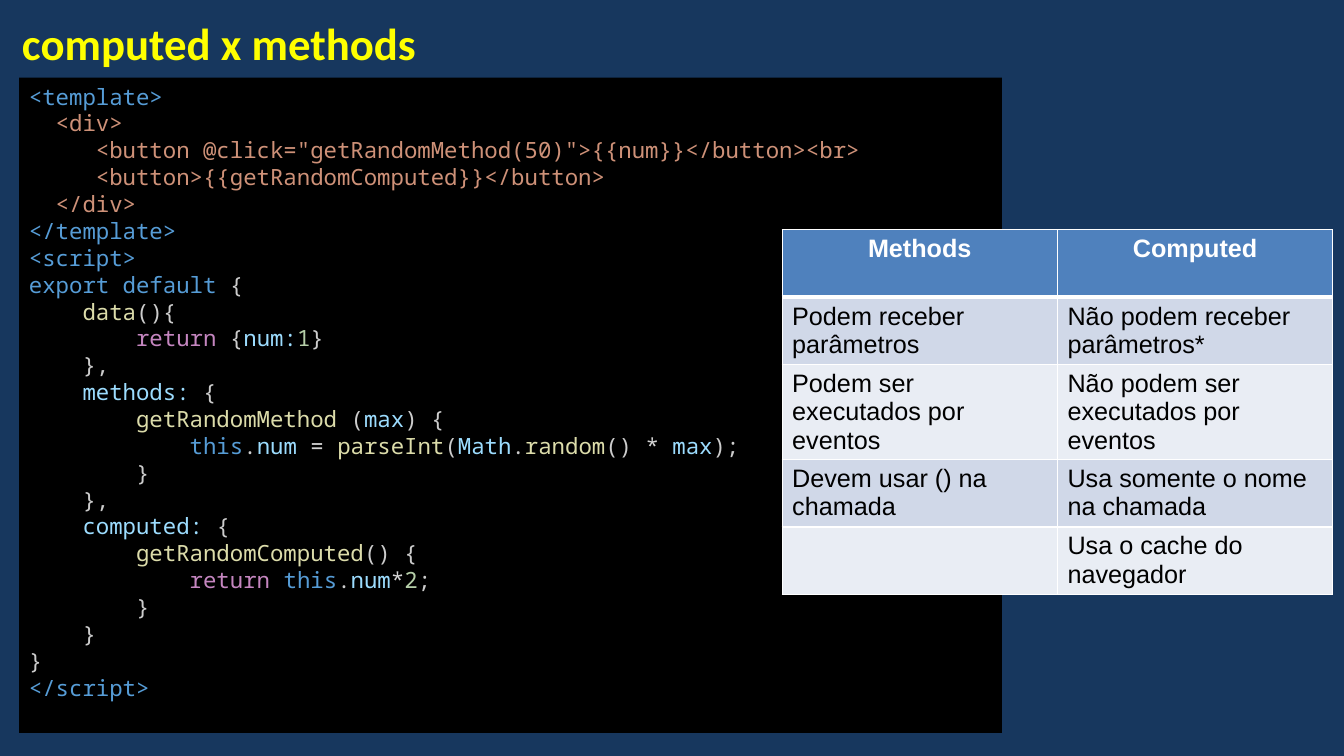
from pptx import Presentation
from pptx.dml.color import RGBColor
from pptx.enum.shapes import MSO_SHAPE
from pptx.enum.text import MSO_ANCHOR, PP_ALIGN
from pptx.oxml import parse_xml
from pptx.oxml.ns import nsdecls
from pptx.util import Cm, Pt

# Content
TITLE = "computed x methods"

# Each code line is a list of (colour role, text)
CODE = [
    [("key", "<template>")],
    [("tag", "  <div>")],
    [("tag", '     <button @click="getRandomMethod(50)">{{num}}</button><br>')],
    [("tag", "     <button>{{getRandomComputed}}</button>")],
    [("tag", "  </div>")],
    [("key", "</template>")],
    [("key", "<script>")],
    [("key", "export default"), ("text", " {")],
    [("func", "    data"), ("text", "(){")],
    [("flow", "        return"), ("text", " {"), ("name", "num:"),
     ("digit", "1"), ("text", "}")],
    [("text", "    },")],
    [("name", "    methods:"), ("text", " {")],
    [("func", "        getRandomMethod"), ("text", " ("), ("name", "max"),
     ("text", ") {")],
    [("key", "            this"), ("text", "."), ("name", "num "),
     ("sign", "= "), ("func", "parseInt"), ("text", "("), ("name", "Math"),
     ("text", "."), ("func", "random"), ("text", "() "), ("sign", "* "),
     ("name", "max"), ("text", ");")],
    [("text", "        }")],
    [("text", "    },")],
    [("name", "    computed:"), ("text", " {")],
    [("func", "        getRandomComputed"), ("text", "() {")],
    [("flow", "            return "), ("key", "this"), ("text", "."),
     ("name", "num"), ("sign", "*"), ("digit", "2"), ("text", ";")],
    [("text", "        }")],
    [("text", "    }")],
    [("text", "}")],
    [("key", "</script>")],
]

ROWS = [
    ("Methods", "Computed"),
    ("Podem receber parâmetros", "Não podem receber parâmetros*"),
    ("Podem ser executados por eventos", "Não podem ser executados por eventos"),
    ("Devem usar () na chamada", "Usa somente o nome na chamada"),
    ("", "Usa o cache do navegador"),
]

# Theme
THEME = {
    "back": "17375E", "panel": "000000", "title": "FFFF00",
    "key": "569CD6", "tag": "CE9178", "text": "CCCCCC", "func": "DCDCAA",
    "flow": "C586C0", "name": "9CDCFE", "digit": "B5CEA8", "sign": "D4D4D4",
    "head": "4F81BD", "bands": ("E9EDF4", "D0D8E8"),
    "light": "FFFFFF", "dark": "000000",
    "fonts": {
        "title": {"name": "Calibri", "size": Pt(32), "bold": True},
        "code": {"name": "Noto Sans Mono", "size": Pt(16), "bold": False},
        "head": {"name": "Arial", "size": Pt(18), "bold": True},
        "cell": {"name": "Arial", "size": Pt(18), "bold": False},
    },
    "pitch": Pt(19.2),
}

# Places: left, top, width, height in centimetres
SPOTS = {
    "title": (0.3, 0.2, 33.27, 1.75),
    "code": (0.48, 1.96, 24.77, 16.51),
    "table": (19.71, 5.79, 13.88, 8.5),
}


def spot(key):
    return [Cm(n) for n in SPOTS[key]]


def paint(fill, tone):
    fill.solid()
    fill.fore_color.rgb = RGBColor.from_string(tone)


def write(para, text, style, tone):
    font = para.add_run()
    font.text = text
    font = font.font
    for key, value in THEME["fonts"][style].items():
        setattr(font, key, value)
    font.color.rgb = RGBColor.from_string(tone)


def edge(cell, side, width):
    cell._tc.get_or_add_tcPr().append(parse_xml(
        f'<a:ln{side} {nsdecls("a")} w="{Pt(width)}"><a:solidFill>'
        f'<a:srgbClr val="{THEME["light"]}"/></a:solidFill></a:ln{side}>'))


def add_code(slide):
    box = slide.shapes.add_shape(MSO_SHAPE.RECTANGLE, *spot("code"))
    box.shadow.inherit = False
    paint(box.fill, THEME["panel"])
    box.line.fill.background()
    frame = box.text_frame
    frame.word_wrap = True
    frame.vertical_anchor = MSO_ANCHOR.TOP
    for i, line in enumerate(CODE):
        para = frame.add_paragraph() if i else frame.paragraphs[0]
        para.alignment = PP_ALIGN.LEFT
        para.line_spacing = THEME["pitch"]
        for role, text in line:
            write(para, text, "code", THEME[role])


def add_title(slide):
    title = slide.shapes.title
    title.left, title.top, title.width, title.height = spot("title")
    frame = title.text_frame
    frame.word_wrap = True
    frame.vertical_anchor = MSO_ANCHOR.MIDDLE
    para = frame.paragraphs[0]
    para.alignment = PP_ALIGN.LEFT
    write(para, TITLE, "title", THEME["title"])


def add_grid(slide):
    count = len(ROWS[0])
    grid = slide.shapes.add_table(len(ROWS), count, *spot("table")).table
    for col in grid.columns:
        col.width = Cm(SPOTS["table"][2] / count)
    for r, row in enumerate(ROWS):
        grid.rows[r].height = Cm(SPOTS["table"][3] / len(ROWS))
        for c, text in enumerate(row):
            cell = grid.cell(r, c)
            for side in "LRTB":
                thick = (r, side) in ((0, "B"), (1, "T"))
                edge(cell, side, 3 if thick else 1)
            paint(cell.fill, THEME["bands"][r % 2] if r else THEME["head"])
            para = cell.text_frame.paragraphs[0]
            para.alignment = PP_ALIGN.LEFT if r else PP_ALIGN.CENTER
            if text:
                write(para, text, "cell" if r else "head",
                      THEME["dark" if r else "light"])


def main():
    deck = Presentation()
    deck.slide_width, deck.slide_height = Cm(33.87), Cm(19.05)
    slide = deck.slides.add_slide(deck.slide_layouts[5])
    paint(slide.background.fill, THEME["back"])
    add_code(slide)
    add_title(slide)
    add_grid(slide)
    deck.save("out.pptx")


if __name__ == "__main__":
    main()
